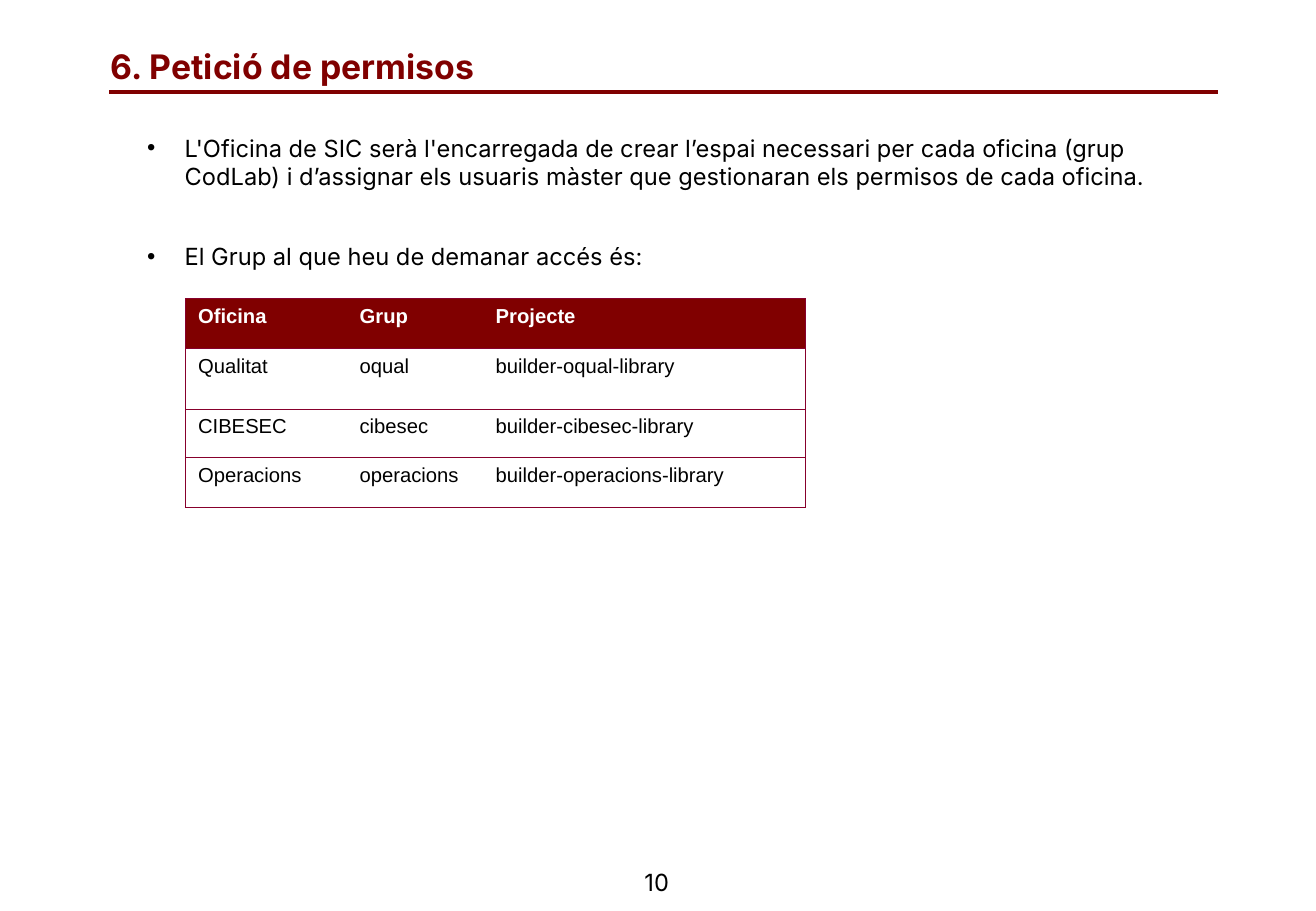
from dataclasses import dataclass

from lxml import etree
from pptx import Presentation
from pptx.dml.color import RGBColor
from pptx.enum.shapes import MSO_CONNECTOR
from pptx.enum.text import MSO_ANCHOR, MSO_AUTO_SIZE, PP_ALIGN
from pptx.oxml.ns import qn
from pptx.util import Inches, Pt

STRAIGHT = MSO_CONNECTOR.STRAIGHT
LEFT, CENTER = PP_ALIGN.LEFT, PP_ALIGN.CENTER
TOP, MIDDLE, BOTTOM = MSO_ANCHOR.TOP, MSO_ANCHOR.MIDDLE, MSO_ANCHOR.BOTTOM
NO_AUTOFIT = MSO_AUTO_SIZE.NONE

COLORS = {"maroon": "800000", "border": "87002C", "black": "000000", "white": "FFFFFF"}
TEXT_FONT, TABLE_FONT = "Inter", "Arial"
PLAIN_TABLE_STYLE = "{2D5ABB26-0587-4C30-8999-92F81FD0307C}"
BORDER_WIDTH = Pt(0.75)
BULLET_INDENT = Inches(0.31)
BULLET_GAP = 30.5

BULLETS = [
    "L'Oficina de SIC serà l'encarregada de crear l’espai necessari per cada oficina "
    "(grup CodLab) i d’assignar els usuaris màster que gestionaran els permisos de cada oficina.",
    "El Grup al que heu de demanar accés és:",
]
HEADERS = ("Oficina", "Grup", "Projecte")
COLUMN_WIDTHS = (1.33, 1.12, 2.65)
ROW_HEIGHTS = (0.41, 0.5, 0.4, 0.41)


@dataclass(frozen=True)
class Office:
    """One office with its permission group."""
    name: str
    group: str

    def cells(self) -> tuple[str, str, str]:
        """Return the table row, with the project named after the group."""
        return self.name, self.group, f"builder-{self.group}-library"


OFFICES = [
    Office("Qualitat", "oqual"),
    Office("CIBESEC", "cibesec"),
    Office("Operacions", "operacions"),
]


def rgb(name: str) -> RGBColor:
    """Return a palette colour."""
    return RGBColor.from_string(COLORS[name])


def place(shape, left: float, top: float, width: float, height: float) -> None:
    """Move and size a shape, in inches."""
    shape.left, shape.top = Inches(left), Inches(top)
    shape.width, shape.height = Inches(width), Inches(height)


def write(paragraph, text: str, *, size: float = 14, font: str = TEXT_FONT,
          color: str = "black", bold: bool = False, align=LEFT,
          space_before: float = 0) -> None:
    """Write formatted text into a paragraph."""
    paragraph.alignment = align
    paragraph.space_before = Pt(space_before)
    run = paragraph.add_run()
    run.text = text
    run.font.size, run.font.name, run.font.bold = Pt(size), font, bold
    run.font.color.rgb = rgb(color)


def prepare_frame(shape, anchor) -> None:
    """Wrap the text of a shape, fix its size and set its anchor."""
    frame = shape.text_frame
    frame.word_wrap = True
    frame.auto_size = NO_AUTOFIT
    frame.vertical_anchor = anchor


def add_title(slide) -> None:
    """Fill the title and underline it with a rule."""
    title = slide.shapes.title
    place(title, 0.81, 0.21, 9.21, 0.55)
    prepare_frame(title, BOTTOM)
    write(title.text_frame.paragraphs[0], "6. Petició de permisos",
          size=20, color="maroon", bold=True)
    rule = slide.shapes.add_connector(
        STRAIGHT, Inches(0.9), Inches(0.76), Inches(10.02), Inches(0.76))
    rule.line.color.rgb = rgb("maroon")
    rule.line.width = Pt(2.25)
    etree.SubElement(rule.element.spPr, qn("a:effectLst"))


def add_bullets(slide) -> None:
    """Fill the body placeholder with the bulleted list."""
    body = slide.placeholders[1]
    place(body, 1.11, 1.05, 8.91, 3.4)
    prepare_frame(body, TOP)
    frame = body.text_frame
    for index, text in enumerate(BULLETS):
        paragraph = frame.add_paragraph() if index else frame.paragraphs[0]
        write(paragraph, text, space_before=BULLET_GAP if index else 0)
        properties = paragraph._p.get_or_add_pPr()
        properties.set("marL", str(BULLET_INDENT))
        properties.set("indent", str(-BULLET_INDENT))


def set_borders(cell, sides: str) -> None:
    """Draw the given cell sides, named by letters in the order L, R, T, B."""
    properties = cell._tc.get_or_add_tcPr()
    for side in sides:
        line = etree.SubElement(properties, qn(f"a:ln{side}"), w=str(BORDER_WIDTH))
        fill = etree.SubElement(line, qn("a:solidFill"))
        etree.SubElement(fill, qn("a:srgbClr"), val=COLORS["border"])


def add_office_table(slide) -> None:
    """Add the table of offices, groups and projects."""
    rows = [HEADERS, *(office.cells() for office in OFFICES)]
    frame = slide.shapes.add_table(
        len(rows), len(HEADERS), Inches(1.53), Inches(2.46),
        Inches(sum(COLUMN_WIDTHS)), Inches(sum(ROW_HEIGHTS)))
    table = frame.table
    table.horz_banding = False
    table._tbl.tblPr.find(qn("a:tableStyleId")).text = PLAIN_TABLE_STYLE
    for column, width in zip(table.columns, COLUMN_WIDTHS):
        column.width = Inches(width)
    for row, height in zip(table.rows, ROW_HEIGHTS):
        row.height = Inches(height)
    last_column = len(HEADERS) - 1
    for row_index, texts in enumerate(rows):
        is_header = row_index == 0
        for column_index, text in enumerate(texts):
            cell = table.cell(row_index, column_index)
            outer = {0: "L", last_column: "R"}.get(column_index, "")
            set_borders(cell, outer + "TB")
            if is_header:
                cell.fill.solid()
                cell.fill.fore_color.rgb = rgb("maroon")
            else:
                cell.fill.background()
            write(cell.text_frame.paragraphs[0], text, size=12, font=TABLE_FONT,
                  color="white" if is_header else "black", bold=is_header)


def add_page_number(slide) -> None:
    """Add the centred page number."""
    box = slide.shapes.add_textbox(Inches(4.14), Inches(7.08), Inches(2.53), Inches(0.36))
    prepare_frame(box, MIDDLE)
    write(box.text_frame.paragraphs[0], "10", align=CENTER)


def main() -> None:
    """Build and save the slide."""
    presentation = Presentation()
    presentation.slide_width, presentation.slide_height = Inches(10.83), Inches(7.5)
    slide = presentation.slides.add_slide(presentation.slide_layouts[1])
    add_title(slide)
    add_bullets(slide)
    add_office_table(slide)
    add_page_number(slide)
    presentation.save("out.pptx")


main()
